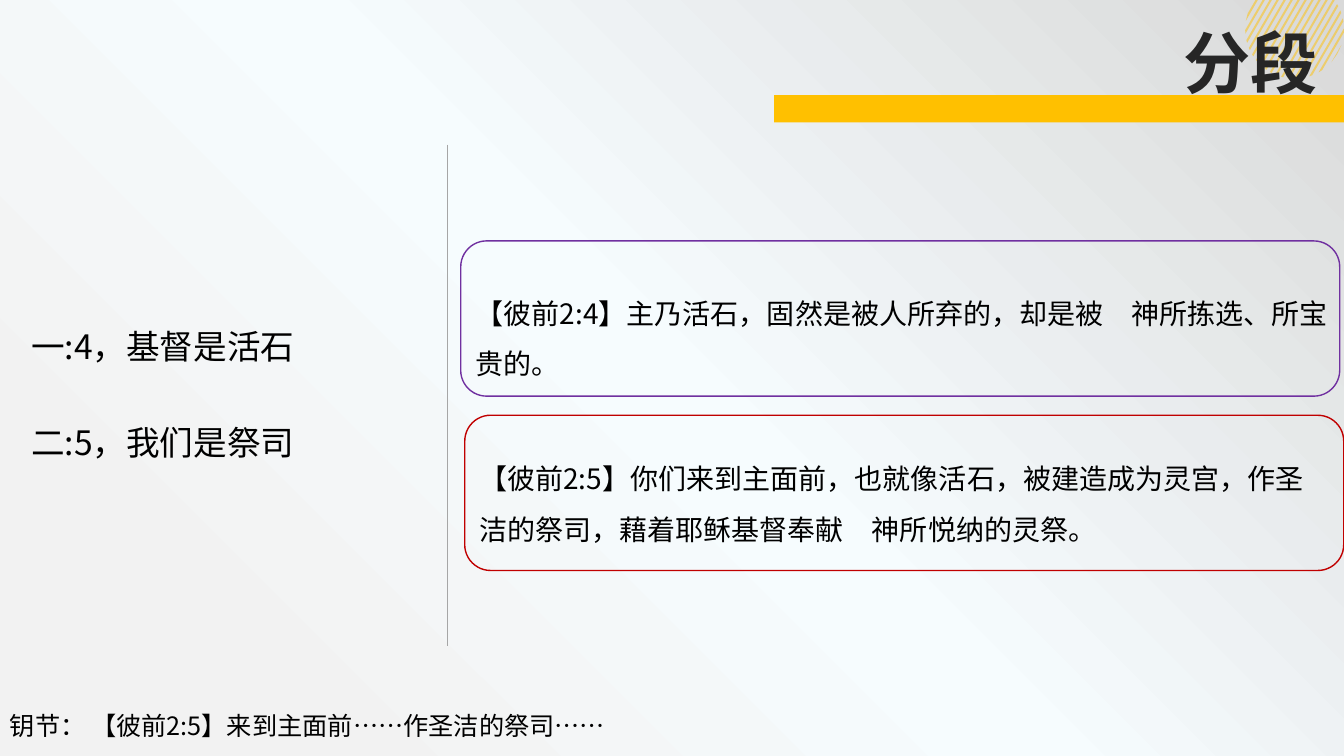
"""Build the section outline slide with its two scripture cards."""
from dataclasses import dataclass
from math import sqrt

from lxml.etree import SubElement
from pptx import Presentation
from pptx.dml.color import RGBColor
from pptx.enum.shapes import MSO_CONNECTOR, MSO_SHAPE
from pptx.enum.text import MSO_ANCHOR
from pptx.oxml.ns import qn
from pptx.util import Inches, Pt

WIDTH, HEIGHT = 13.33, 7.5
FONT = "Noto Sans CJK SC"
GOLD = "FFC000"
STRIPE_COUNT, STRIPE_STEP, STRIPE_WIDTH = 17, 0.06, 0.02
CIRCLE_X, CIRCLE_Y, RADIUS = 12.84, 0.29, 0.49
COS, SIN = 0.5, sqrt(0.75)


@dataclass(frozen=True)
class Area:
    left: float
    top: float
    width: float
    height: float

    def emu(self) -> tuple:
        return (across(self.left), down(self.top), across(self.width), down(self.height))


@dataclass(frozen=True)
class TextBlock:
    area: Area
    lines: tuple
    size: float
    color: str = "000000"
    bold: bool = False
    line_spacing: float = 1.0
    gap: float = 0
    anchor: MSO_ANCHOR = MSO_ANCHOR.TOP
    margins: tuple = (0.1, 0.05, 0.1, 0.05)


@dataclass(frozen=True)
class Card:
    frame: Area
    border: str
    verse: TextBlock


HEADINGS = (
    TextBlock(Area(87.3, 2.13, 12.67, 12.13), ("分段",), 48, "262626", True),
    TextBlock(Area(1.58, 41.33, 33.38, 20.4), ("一:4，基督是活石", "二:5，我们是祭司"), 24,
              line_spacing=1.2, gap=34.7),
)
CARDS = (
    Card(Area(34.28, 31.87, 65.4, 20.53), "7030A0", TextBlock(
        Area(34.86, 36.07, 65.2, 15.2),
        ("【彼前2:4】主乃活石，固然是被人所弃的，却是被　神所拣选、所宝贵的。",), 20,
        line_spacing=1.5, anchor=MSO_ANCHOR.MIDDLE, margins=(0.07,) * 4)),
    Card(Area(34.58, 54.93, 65.4, 20.53), "C00000", TextBlock(
        Area(34.92, 60.87, 64.73, 9.33),
        ("【彼前2:5】你们来到主面前，也就像活石，被建造成为灵宫，作圣洁的祭司，藉着耶稣基督奉献　神所悦纳的灵祭。",),
        20, line_spacing=1.5, anchor=MSO_ANCHOR.MIDDLE, margins=(0.1,) * 4)),
)
KEY_VERSE = TextBlock(Area(0, 93.33, 99.3, 5.33),
                      ("钥节： 【彼前2:5】来到主面前……作圣洁的祭司……",), 18)


def across(percent: float) -> int:
    return Inches(WIDTH * percent / 100)


def down(percent: float) -> int:
    return Inches(HEIGHT * percent / 100)


def rgb(value: str) -> RGBColor:
    return RGBColor.from_string(value)


def set_background(slide) -> None:
    slide.background.fill.gradient()
    gradient = next(slide.element.iter(qn("a:gradFill")))
    gradient.clear()
    gradient.set("rotWithShape", "1")
    stops = SubElement(gradient, qn("a:gsLst"))
    for position, value, alpha in ((15, "F2F2F2", 100), (50, "F6FCFE", 27), (100, "D9D9D9", 100)):
        stop = SubElement(stops, qn("a:gs"), pos=str(position * 1000))
        color = SubElement(stop, qn("a:srgbClr"), val=value)
        if alpha < 100:
            SubElement(color, qn("a:alpha"), val=str(alpha * 1000))
    circle = SubElement(gradient, qn("a:path"), path="circle")
    SubElement(circle, qn("a:fillToRect"), t="100000", r="100000")


def paint(shape, value: str) -> None:
    shape.shadow.inherit = False
    shape.fill.solid()
    shape.fill.fore_color.rgb = rgb(value)
    shape.line.fill.background()


def chord(offset: float) -> tuple:
    offset = max(-RADIUS, min(offset, RADIUS))
    x, y = CIRCLE_X + offset * SIN, CIRCLE_Y + offset * COS
    half = sqrt(RADIUS ** 2 - offset ** 2)
    upper = min(half, y / SIN)
    return ((Inches(x + upper * COS), Inches(y - upper * SIN)),
            (Inches(x - half * COS), Inches(y + half * SIN)))


def draw_stripes(slide) -> None:
    group = slide.shapes.add_group_shape()
    for index in range(STRIPE_COUNT):
        offset = (index - STRIPE_COUNT // 2) * STRIPE_STEP
        upper_left, lower_left = chord(offset)
        upper_right, lower_right = chord(offset + STRIPE_WIDTH)
        builder = group.shapes.build_freeform(*upper_left)
        builder.add_line_segments((upper_right, lower_right, lower_left), close=True)
        stripe = builder.convert_to_shape()
        paint(stripe, GOLD)
        color = stripe.element.spPr.find(qn("a:solidFill"))[0]
        SubElement(color, qn("a:alpha"), val="50000")


def draw_text(shapes, block: TextBlock) -> None:
    frame = shapes.add_textbox(*block.area.emu()).text_frame
    frame.word_wrap = True
    frame.vertical_anchor = block.anchor
    for side, margin in zip(("left", "top", "right", "bottom"), block.margins):
        setattr(frame, f"margin_{side}", Inches(margin))
    formats = {"size": Pt(block.size), "bold": block.bold, "name": FONT}
    for index, line in enumerate(block.lines):
        paragraph = frame.add_paragraph() if index else frame.paragraphs[0]
        paragraph.line_spacing = block.line_spacing
        if index:
            paragraph.space_before = Pt(block.gap)
        run = paragraph.add_run()
        run.text = line
        for name, value in formats.items():
            setattr(run.font, name, value)
        run.font.color.rgb = rgb(block.color)
        SubElement(run.font._element, qn("a:ea"), typeface=FONT)


def draw_card(slide, card: Card) -> None:
    group = slide.shapes.add_group_shape()
    frame = group.shapes.add_shape(MSO_SHAPE.ROUNDED_RECTANGLE, *card.frame.emu())
    frame.shadow.inherit = False
    frame.fill.background()
    frame.line.color.rgb = rgb(card.border)
    frame.line.width = Pt(1)
    draw_text(group.shapes, card.verse)


def draw_divider(slide) -> None:
    divider = slide.shapes.add_connector(
        MSO_CONNECTOR.STRAIGHT, across(33.3), down(19.13), across(33.3), down(85.4))
    divider.line.color.rgb = rgb("A6A6A6")
    divider.line.width = Pt(0.5)
    SubElement(divider.element.spPr, qn("a:effectLst"))


def main() -> None:
    presentation = Presentation()
    presentation.slide_width, presentation.slide_height = Inches(WIDTH), Inches(HEIGHT)
    slide = presentation.slides.add_slide(presentation.slide_layouts[6])
    set_background(slide)
    draw_stripes(slide)
    bar = slide.shapes.add_shape(MSO_SHAPE.RECTANGLE, *Area(57.6, 12.6, 42.4, 3.6).emu())
    paint(bar, GOLD)
    for heading in HEADINGS:
        draw_text(slide.shapes, heading)
    draw_divider(slide)
    for card in CARDS:
        draw_card(slide, card)
    draw_text(slide.shapes, KEY_VERSE)
    presentation.save("out.pptx")


if __name__ == "__main__":
    main()
